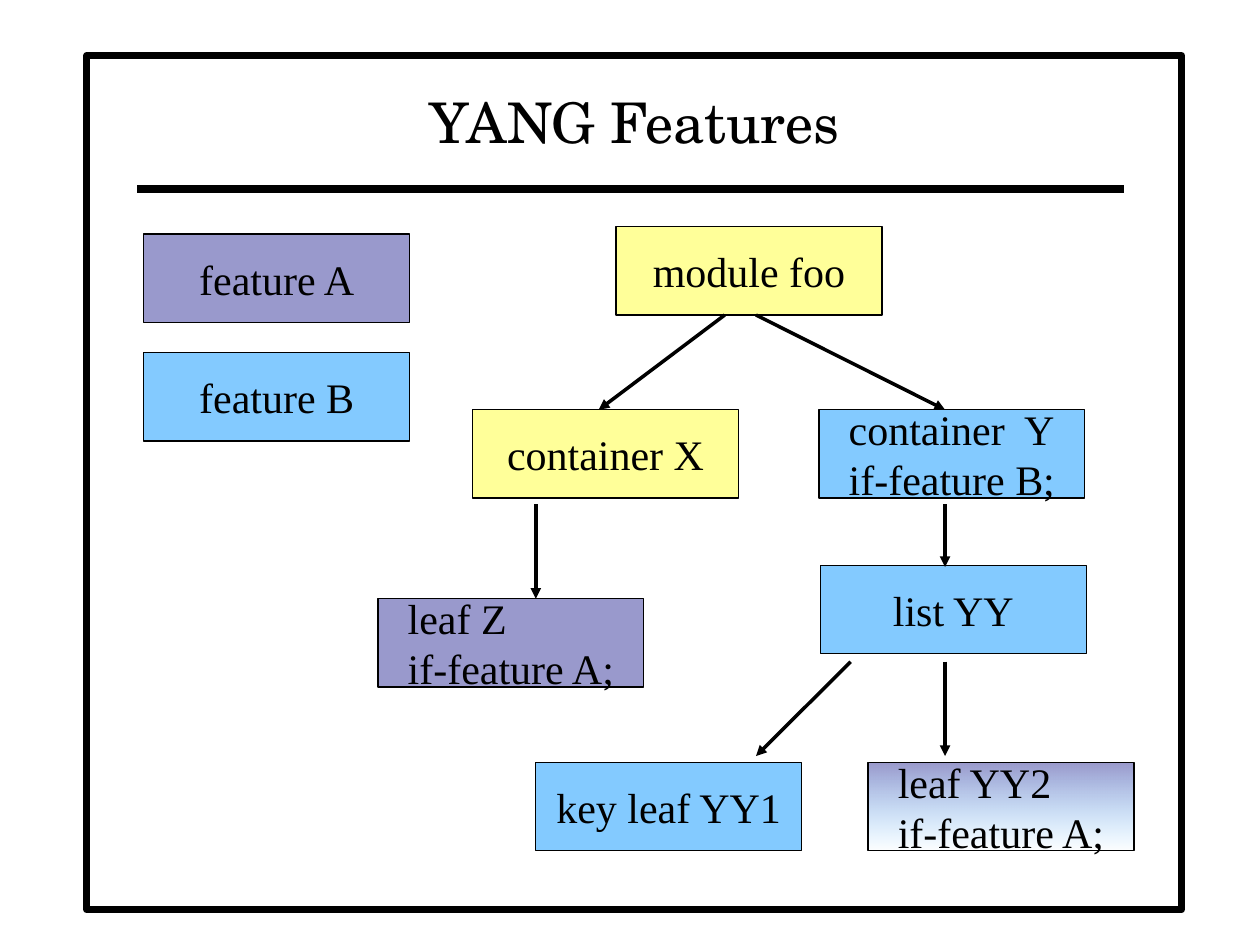
import lxml.etree
import pptx
import pptx.dml.color
import pptx.enum.dml
import pptx.enum.shapes
import pptx.enum.text
import pptx.oxml
import pptx.oxml.ns
import pptx.util
from pptx.util import Cm

COLORS = {
    "black": "000000",
    "white": "FFFFFF",
    "plain": "FFFF99",
    "feature A": "9999CC",
    "feature B": "83CAFF",
}
TITLE_FONT = "TeX Gyre Schola"
BODY_FONT = "Times New Roman"
NODE_WIDTH, NODE_HEIGHT = 5.36, 1.78

# left, top (cm), fill name, lines of text
NODES = [
    (12.42, 4.57, "plain", ["module foo"]),
    (2.9, 4.72, "feature A", ["feature A"]),
    (9.53, 8.26, "plain", ["container X"]),
    (7.62, 12.07, "feature A", ["leaf Z", "if-feature A;"]),
    (2.9, 7.11, "feature B", ["feature B"]),
    (16.51, 8.26, "feature B", ["container  Y", "if-feature B;"]),
    (16.54, 11.4, "feature B", ["list YY"]),
    (10.8, 15.37, "feature B", ["key leaf YY1"]),
    (17.5, 15.37, "fade", ["leaf YY2", "if-feature A;"]),
]
# start x, start y, end x, end y (cm)
ARROWS = [
    (14.61, 6.35, 12.07, 8.26),
    (15.24, 6.35, 19.05, 8.26),
    (19.05, 10.16, 19.05, 11.43),
    (17.15, 13.34, 15.24, 15.24),
    (10.8, 10.16, 10.8, 12.07),
    (19.05, 13.34, 19.05, 15.24),
]


def color(name):
    return pptx.dml.color.RGBColor.from_string(COLORS[name])


def add_span(para, text, font, size):
    span = para.add_run()
    span.text = text
    span.font.name = font
    span.font.size = pptx.util.Pt(size)
    span.font.color.rgb = color("black")


def add_rectangle(page, left, top, width, height, fill, line_width):
    box = page.shapes.add_shape(
        pptx.enum.shapes.MSO_SHAPE.RECTANGLE, Cm(left), Cm(top), Cm(width), Cm(height)
    )
    box.shadow.inherit = False
    box.fill.solid()
    box.fill.fore_color.rgb = color(fill)
    box.line.color.rgb = color("black")
    box.line.width = pptx.util.Pt(line_width)
    return box


def fade_fill(box):
    """Fade from feature A at the top to a transparent feature B."""
    box.fill.gradient()
    first, last = box.fill.gradient_stops
    first.position, last.position = 0, 1
    first.color.rgb = color("feature A")
    last.color.rgb = color("feature B")
    gradient = box._element.spPr.find(pptx.oxml.ns.qn("a:gradFill"))
    end_color = gradient.findall(".//" + pptx.oxml.ns.qn("a:srgbClr"))[-1]
    lxml.etree.SubElement(end_color, pptx.oxml.ns.qn("a:alpha"), val="0")
    gradient.find(pptx.oxml.ns.qn("a:lin")).set("ang", "5400000")


def add_node(page, left, top, fill, lines):
    """Add a box whose left-aligned lines are centred as one block."""
    solid = "feature A" if fill == "fade" else fill
    box = add_rectangle(page, left, top, NODE_WIDTH, NODE_HEIGHT, solid, 0)
    if fill == "fade":
        fade_fill(box)
    frame = box.text_frame
    frame.word_wrap = False
    frame.vertical_anchor = pptx.enum.text.MSO_ANCHOR.MIDDLE
    frame._txBody.bodyPr.set("anchorCtr", "1")
    for index, text in enumerate(lines):
        para = frame.add_paragraph() if index else frame.paragraphs[0]
        para.alignment = pptx.enum.text.PP_ALIGN.LEFT
        add_span(para, text, BODY_FONT, 24)


def add_line(page, start_x, start_y, end_x, end_y, width):
    line = page.shapes.add_connector(
        pptx.enum.shapes.MSO_CONNECTOR.STRAIGHT,
        Cm(start_x), Cm(start_y), Cm(end_x), Cm(end_y),
    )
    line.line.color.rgb = color("black")
    line.line.width = pptx.util.Pt(width)
    lxml.etree.SubElement(line._element.spPr, pptx.oxml.ns.qn("a:effectLst"))
    return line


def add_arrow(page, *ends):
    arrow = add_line(page, *ends, width=0)
    outline = arrow._element.spPr.find(pptx.oxml.ns.qn("a:ln"))
    lxml.etree.SubElement(outline, pptx.oxml.ns.qn("a:tailEnd"), type="triangle")


def add_title(page, text):
    box = page.shapes.add_textbox(Cm(2.74), Cm(1.27), Cm(19.79), Cm(2.34))
    frame = box.text_frame
    frame.word_wrap = True
    frame.vertical_anchor = pptx.enum.text.MSO_ANCHOR.MIDDLE
    frame.margin_left = frame.margin_right = 0
    frame.margin_top = frame.margin_bottom = 0
    para = frame.paragraphs[0]
    para.alignment = pptx.enum.text.PP_ALIGN.CENTER
    add_span(para, text, TITLE_FONT, 32)


def main():
    deck = pptx.Presentation()
    deck.slide_width, deck.slide_height = Cm(25.4), Cm(19.05)
    page = deck.slides.add_slide(deck.slide_layouts[6])
    add_rectangle(page, 1.75, 1.12, 22.07, 17.22, "white", 4)
    add_line(page, 2.77, 3.81, 22.66, 3.81, width=4.5)
    add_title(page, " YANG Features")
    for node in NODES:
        add_node(page, *node)
    for arrow in ARROWS:
        add_arrow(page, *arrow)
    deck.save("out.pptx")


if __name__ == "__main__":
    main()
